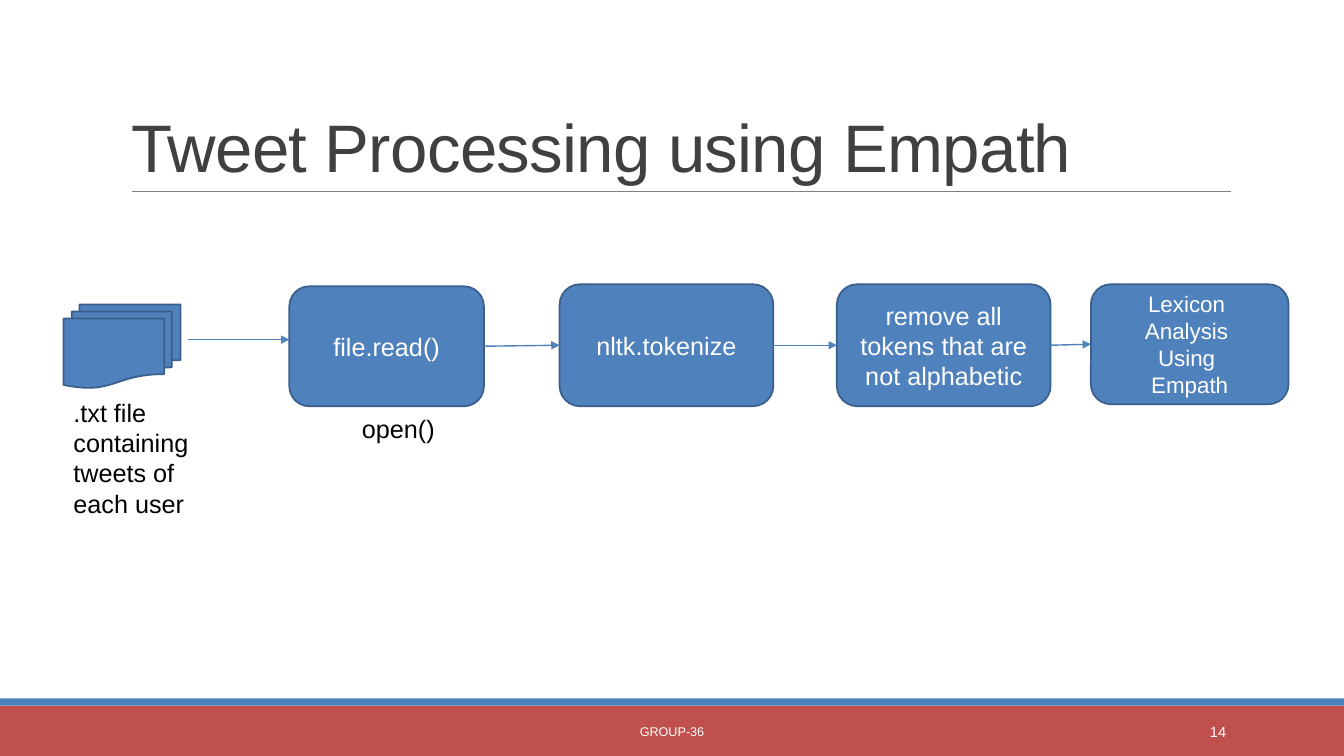
"""Build the tweet processing pipeline slide."""
import pptx
import pptx.util
from dataclasses import dataclass
from pptx.dml.color import RGBColor
from pptx.enum.shapes import MSO_CONNECTOR, MSO_SHAPE
from pptx.enum.text import MSO_ANCHOR, MSO_AUTO_SIZE, PP_ALIGN
from pptx.oxml.ns import qn

TITLE = "Tweet Processing using Empath"
STEPS = [
    (["file.read()"], 18, (2.87, 2.84, 1.93, 1.19)),
    (["nltk.tokenize"], 18, (5.55, 2.82, 2.12, 1.21)),
    (["remove all tokens that are not alphabetic"], 18, (8.3, 2.82, 2.12, 1.21)),
    (["Lexicon ", "Analysis ", "Using ", "Empath"], 16, (10.82, 2.82, 1.96, 1.19)),
]
CAPTIONS = [
    ([".txt file", "containing", "tweets of", "each user"], (0.63, 3.89, 1.48, 1.31)),
    (["open()"], (3.49, 4.05, 0.99, 0.4)),
]
FOOTERS = [
    ("GROUP-36", 9, PP_ALIGN.CENTER, (4.03, 7.06, 5.27, 0.4)),
    ("14", 10.5, PP_ALIGN.RIGHT, (10.83, 7.06, 1.43, 0.4)),
]
DOCUMENTS = (0.63, 3.02, 1.16, 0.83)
SLIDE_WIDTH, SLIDE_HEIGHT = 13.33, 7.5
FOOTER_HEIGHT, STRIPE_HEIGHT = 0.5, 0.07
LEFT_SIDE, RIGHT_SIDE = 1, 3


@dataclass(frozen=True)
class Theme:
    font: str = "Arial"
    blue: str = "4F81BD"
    outline: str = "3A5F8C"
    red: str = "C0504D"
    rule: str = "808080"
    heading: str = "404040"
    black: str = "000000"
    white: str = "FFFFFF"
    title_size: float = 48
    caption_size: float = 18


THEME = Theme()


def color(value):
    return RGBColor.from_string(value)


def inches(values):
    return [pptx.util.Inches(value) for value in values]


def write(shape, lines, size, ink, align=PP_ALIGN.LEFT, anchor=MSO_ANCHOR.TOP):
    frame = shape.text_frame
    frame.text = "\n".join(lines)
    frame.word_wrap = True
    frame.vertical_anchor = anchor
    for paragraph in frame.paragraphs:
        paragraph.alignment = align
        paragraph.font.name = THEME.font
        paragraph.font.size = pptx.util.Pt(size)
        paragraph.font.color.rgb = color(ink)


def add_block(slide, kind, box, fill, outline=None):
    shape = slide.shapes.add_shape(kind, *inches(box))
    shape.shadow.inherit = False
    shape.fill.solid()
    shape.fill.fore_color.rgb = color(fill)
    if outline:
        shape.line.color.rgb = color(outline)
        shape.line.width = pptx.util.Pt(1.25)
    else:
        shape.line.fill.background()
    return shape


def add_line(slide, ends, ink, width, arrow=False):
    line = slide.shapes.add_connector(MSO_CONNECTOR.STRAIGHT, *inches(ends))
    line.line.color.rgb = color(ink)
    line.line.width = pptx.util.Pt(width)
    if arrow:
        head = line.line._ln.makeelement(qn("a:tailEnd"), {"type": "triangle"})
        line.line._ln.append(head)
    properties = line._element.spPr
    properties.append(properties.makeelement(qn("a:effectLst"), {}))
    return line


def add_text(slide, box, *style):
    shape = slide.shapes.add_textbox(*inches(box))
    write(shape, *style)
    return shape


def add_frame(slide):
    footer_top = SLIDE_HEIGHT - FOOTER_HEIGHT
    for top, height, fill in (
        (footer_top, FOOTER_HEIGHT, THEME.red),
        (footer_top - STRIPE_HEIGHT, STRIPE_HEIGHT, THEME.blue),
    ):
        add_block(slide, MSO_SHAPE.RECTANGLE, (0, top, SLIDE_WIDTH, height), fill)
    add_line(slide, (1.31, 1.9, 12.21, 1.9), THEME.rule, 0.5)
    for text, size, align, box in FOOTERS:
        add_text(slide, box, [text], size, THEME.white, align, MSO_ANCHOR.MIDDLE)


def add_title(slide):
    title = slide.shapes.title
    title.left, title.top, title.width, title.height = inches((1.2, 0.31, 11, 1.59))
    write(title, [TITLE], THEME.title_size, THEME.heading, anchor=MSO_ANCHOR.BOTTOM)
    title.text_frame.auto_size = MSO_AUTO_SIZE.NONE
    paragraph = title.text_frame.paragraphs[0]
    paragraph.line_spacing = 0.85
    paragraph.runs[0]._r.get_or_add_rPr().set("spc", "-50")


def add_pipeline(slide):
    add_block(slide, MSO_SHAPE.FLOWCHART_MULTIDOCUMENT, DOCUMENTS, THEME.blue, THEME.outline)
    add_line(slide, (1.86, 3.37, STEPS[0][2][0], 3.37), THEME.blue, 1, arrow=True)
    blocks = []
    for lines, size, box in STEPS:
        block = add_block(slide, MSO_SHAPE.ROUNDED_RECTANGLE, box, THEME.blue, THEME.outline)
        write(block, lines, size, THEME.white, PP_ALIGN.CENTER, MSO_ANCHOR.MIDDLE)
        blocks.append(block)
    for source, target in zip(blocks, blocks[1:]):
        arrow = add_line(slide, (0, 0, 0, 0), THEME.blue, 1, arrow=True)
        arrow.begin_connect(source, RIGHT_SIDE)
        arrow.end_connect(target, LEFT_SIDE)
    for lines, box in CAPTIONS:
        caption = add_text(slide, box, lines, THEME.caption_size, THEME.black)
        caption.text_frame.auto_size = MSO_AUTO_SIZE.SHAPE_TO_FIT_TEXT


def main():
    presentation = pptx.Presentation()
    presentation.slide_width, presentation.slide_height = inches((SLIDE_WIDTH, SLIDE_HEIGHT))
    slide = presentation.slides.add_slide(presentation.slide_layouts.get_by_name("Title Only"))
    add_frame(slide)
    add_title(slide)
    add_pipeline(slide)
    presentation.save("out.pptx")


if __name__ == "__main__":
    main()
